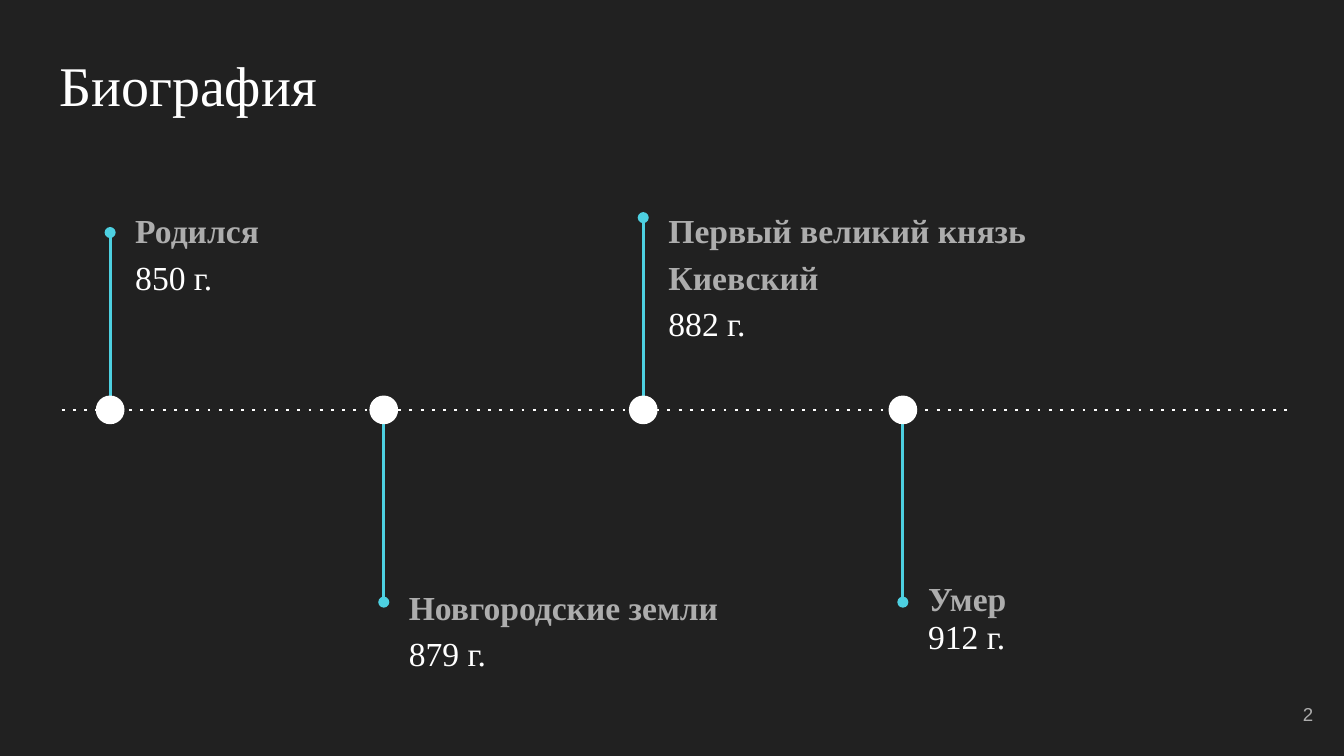
import pptx
import pptx.util
import pptx.dml.color
import pptx.enum.shapes
import pptx.enum.text
import pptx.oxml.ns
from lxml import etree

Pt = pptx.util.Pt
qn = pptx.oxml.ns.qn
Anchor = pptx.enum.text.MSO_ANCHOR
Align = pptx.enum.text.PP_ALIGN

COLORS = {"back": "212121", "white": "FFFFFF", "cyan": "4DD0E1", "gray": "ADADAD"}
SERIF, SANS = "Times New Roman", "Arial"
TITLE = "Биография"
NUMBER = "2"
EVENTS = [
    {"name": "Родился", "year": "850 г.", "x": 59, "end": 124.6,
     "size": (271.5, 76.5), "lead": 1.15, "after": 0},
    {"name": "Новгородские земли", "year": "879 г.", "x": 205.6, "end": 322.6,
     "size": (234.7, 76.5), "lead": 1.15, "after": 0},
    {"name": "Первый великий князь Киевский", "year": "882 г.", "x": 344.6, "end": 116.6,
     "size": (257.8, 90), "lead": 1.15, "after": 0},
    {"name": "Умер", "year": "912 г.", "x": 483.7, "end": 322.6,
     "size": (209.5, 76.5), "lead": 0.95, "after": 12},
]
AXIS, DOT, GAP = 219.6, 15.4, 6.4
TOPS = {True: 102.2, False: 303.8}


def tint(name):
    return pptx.dml.color.RGBColor.from_string(COLORS[name])


def style(font, size, face, color, bold=False):
    font.size, font.name, font.bold = Pt(size), face, bold
    font.color.rgb = tint(color)


def setup(frame, anchor):
    frame.word_wrap = True
    frame.vertical_anchor = anchor
    frame.margin_left = frame.margin_right = Pt(7.2)
    frame.margin_top = frame.margin_bottom = Pt(7.2)


def place(shape, *box):
    shape.left, shape.top, shape.width, shape.height = map(Pt, box)


def add_text(slide, box, anchor=Anchor.TOP):
    frame = slide.shapes.add_textbox(*map(Pt, box)).text_frame
    setup(frame, anchor)
    return frame


def add_line(slide, color, ends, tag, **marks):
    line = slide.shapes.add_connector(
        pptx.enum.shapes.MSO_CONNECTOR.STRAIGHT, *map(Pt, ends))
    line.line.color.rgb = tint(color)
    line.line.width = Pt(1.5)
    props = line._element.spPr
    etree.SubElement(props.find(qn("a:ln")), qn(tag), **marks)
    etree.SubElement(props, qn("a:effectLst"))


def add_event(slide, event):
    x, end = event["x"], event["end"]
    above = end < AXIS
    start = AXIS - DOT / 2 if above else AXIS + DOT / 2
    add_line(slide, "cyan", (x, start, x, end), "a:tailEnd", type="oval")

    dot = slide.shapes.add_shape(
        pptx.enum.shapes.MSO_SHAPE.OVAL,
        *map(Pt, (x - DOT / 2, AXIS - DOT / 2, DOT, DOT)))
    dot.shadow.inherit = False
    dot.fill.solid()
    dot.fill.fore_color.rgb = tint("white")
    dot.line.fill.background()

    frame = add_text(slide, (x + GAP, TOPS[above], *event["size"]))
    head, date = frame.paragraphs[0], frame.add_paragraph()
    for para, text, color, bold in ((head, event["name"], "gray", True),
                                    (date, event["year"], "white", False)):
        para.text = text
        para.line_spacing = event["lead"]
        style(para.font, 18, SERIF, color, bold)
    date.space_after = Pt(event["after"])


def add_number(slide):
    para = add_text(slide, (667.4, 367.2, 43.2, 31), Anchor.MIDDLE).paragraphs[0]
    para.text = NUMBER
    para.alignment = Align.RIGHT
    style(para.font, 10, SANS, "gray")


def main():
    deck = pptx.Presentation()
    deck.slide_width, deck.slide_height = Pt(720), Pt(405)
    slide = deck.slides.add_slide(deck.slide_layouts[5])
    slide.background.fill.solid()
    slide.background.fill.fore_color.rgb = tint("back")

    title = slide.shapes.title
    place(title, 24.5, 0, 671, 90)
    setup(title.text_frame, Anchor.MIDDLE)
    para = title.text_frame.paragraphs[0]
    para.text = TITLE
    para.alignment = Align.LEFT
    style(para.font, 30, SERIF, "white")

    add_line(slide, "white", (33.1, AXIS, 689.8, AXIS), "a:prstDash", val="dot")
    for event in EVENTS:
        add_event(slide, event)
    add_number(slide)
    deck.save("out.pptx")


if __name__ == "__main__":
    main()
